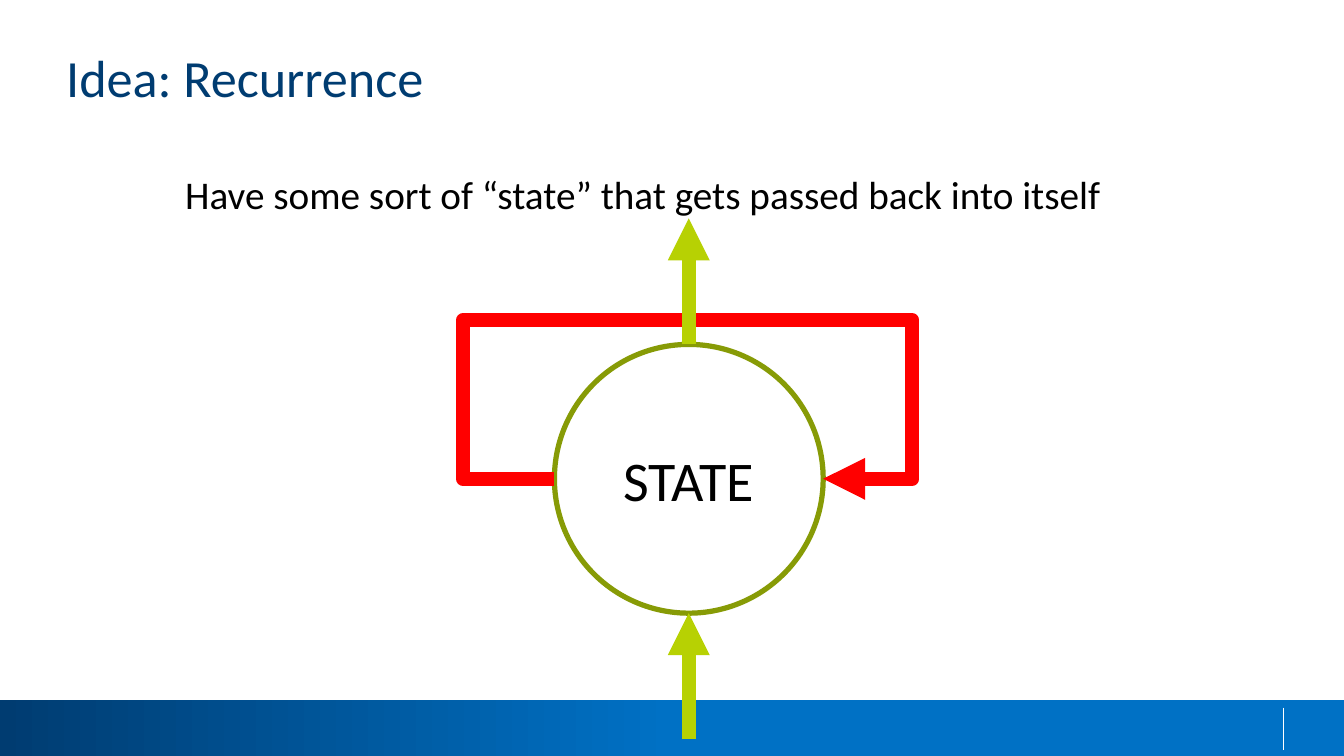
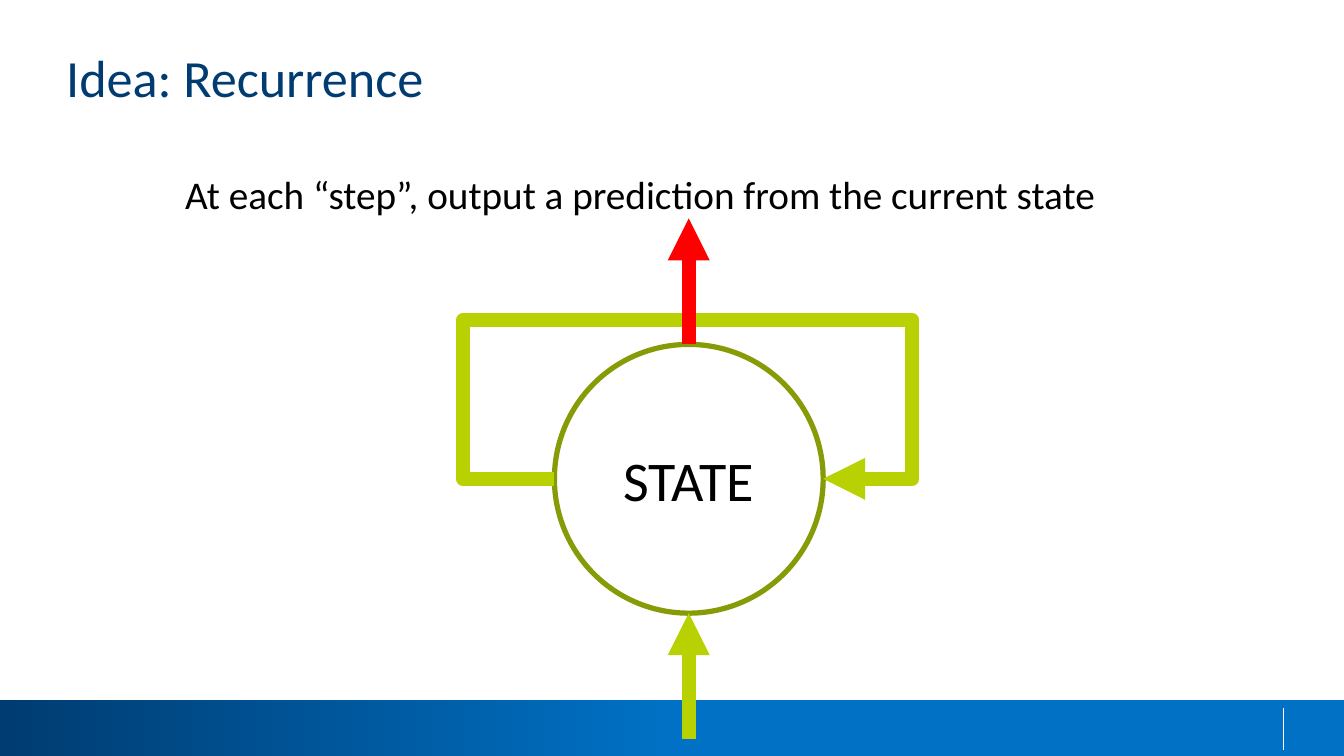
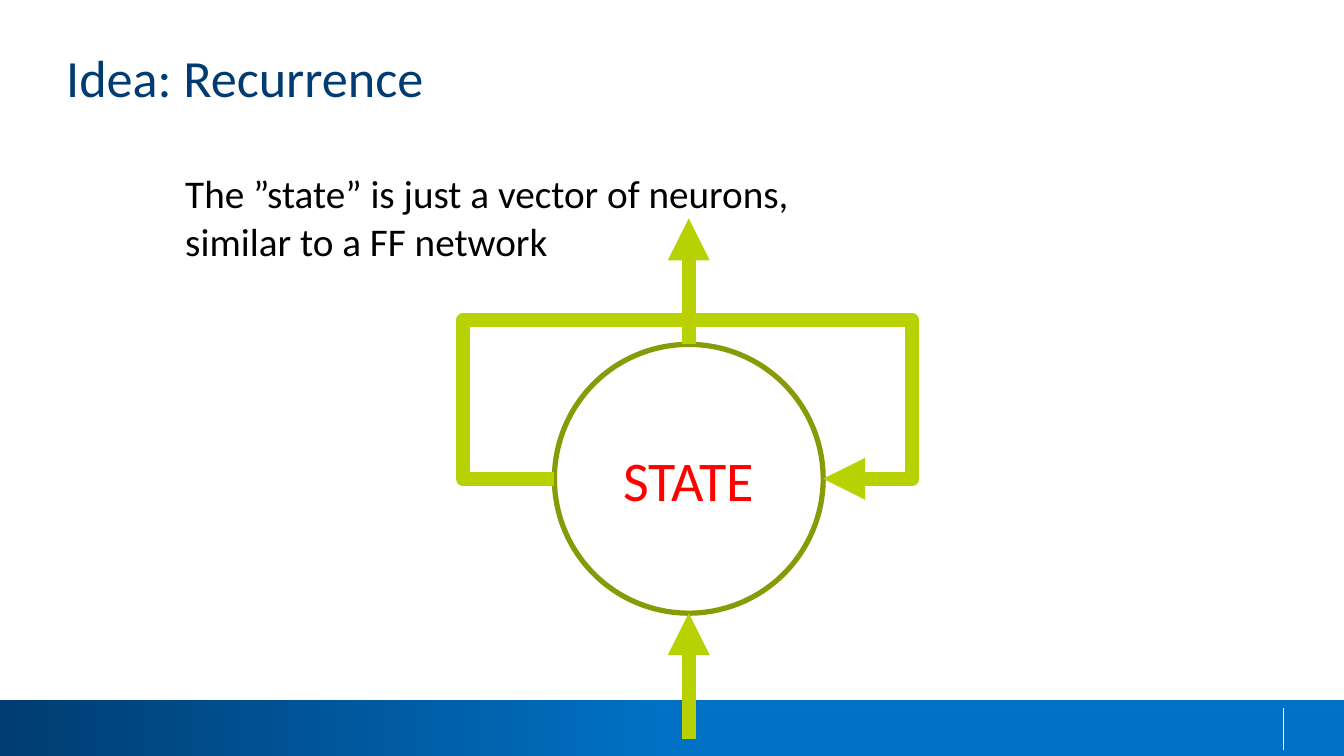
"""Builds three slides that explain recurrence with a looping state diagram."""
from pptx import Presentation
from pptx.dml.color import RGBColor
from pptx.enum.shapes import MSO_CONNECTOR, MSO_SHAPE
from pptx.enum.text import MSO_ANCHOR, MSO_AUTO_SIZE, PP_ALIGN
from pptx.oxml.ns import qn
from pptx.util import Pt
from lxml.etree import SubElement

PX = 9525
WIDTH, HEIGHT = 1280, 720
FONT = "Calibri"

NAVY = RGBColor(0x00, 0x3C, 0x71)
BLUE = RGBColor(0x00, 0x71, 0xC5)
OLIVE = RGBColor(0x87, 0x9B, 0x06)
LIME = RGBColor(0xB7, 0xD1, 0x03)
RED = RGBColor(0xFF, 0x00, 0x00)
BLACK = RGBColor(0x00, 0x00, 0x00)
WHITE = RGBColor(0xFF, 0xFF, 0xFF)

CX, CY, RADIUS = 656, 456, 128
ARROW_LENGTH = 120
ARROW_WIDTH = 10
LOOP_LEFT, LOOP_TOP, LOOP_RIGHT = 441, 305, 869


class Deck:
    """Holds the style and the current slide."""

    def __init__(self):
        self.prs = Presentation()
        self.prs.slide_width = WIDTH * PX
        self.prs.slide_height = HEIGHT * PX
        self.s = None

    def slide(self, title):
        """Starts a slide with its title and footer band."""
        self.s = self.prs.slides.add_slide(self.prs.slide_layouts[5])
        sp = self.s.shapes.title
        self.place(sp, 63, 43, 1152, 122)
        tf = sp.text_frame
        tf.margin_left = tf.margin_top = tf.margin_right = tf.margin_bottom = 0
        tf.vertical_anchor = MSO_ANCHOR.TOP
        tf.auto_size = MSO_AUTO_SIZE.NONE
        self.set_text(tf, [title], 37.3, NAVY)
        self.band()

    def place(self, sp, x, y, w, h):
        """Moves and sizes a shape."""
        sp.left, sp.top, sp.width, sp.height = (v * PX for v in (x, y, w, h))

    def set_text(self, tf, lines, size, color, align=PP_ALIGN.LEFT):
        """Fills a text frame with one paragraph per line."""
        tf.text = "\n".join(lines)
        for p in tf.paragraphs:
            p.alignment = align
            p.font.name = FONT
            p.font.size = Pt(size)
            p.font.color.rgb = color

    def band(self):
        """Draws the footer band and its divider."""
        sp = self.s.shapes.add_shape(
            MSO_SHAPE.RECTANGLE, 0, 667 * PX, WIDTH * PX, 53 * PX)
        sp.shadow.inherit = False
        sp.line.fill.background()
        sp.fill.gradient()
        sp.fill.gradient_angle = 0
        stops = ((0, NAVY), (0.5, BLUE))
        for stop, (position, color) in zip(sp.fill.gradient_stops, stops):
            stop.position = position
            stop.color.rgb = color
        self.line((1222, 674), (1222, 714), WHITE, 0.75)

    def line(self, start, end, color, width):
        """Draws a straight line without a shadow."""
        points = (v * PX for v in start + end)
        cxn = self.s.shapes.add_connector(MSO_CONNECTOR.STRAIGHT, *points)
        cxn.line.color.rgb = color
        cxn.line.width = Pt(width)
        SubElement(cxn._element.spPr, qn("a:effectLst"))
        return cxn

    def add_head(self, sp):
        """Gives a line round joins and an arrowhead at its end."""
        ln = sp.line._get_or_add_ln()
        SubElement(ln, qn("a:round"))
        SubElement(ln, qn("a:tailEnd"), type="triangle")

    def up_arrow(self, bottom, color):
        """Draws an upward arrow on the axis of the state."""
        start, end = (CX, bottom), (CX, bottom - ARROW_LENGTH)
        self.add_head(self.line(start, end, color, ARROW_WIDTH))

    def loop(self, color):
        """Draws the arrow that leads from the state back into it."""
        fb = self.s.shapes.build_freeform(CX - RADIUS, CY, scale=PX)
        corners = [(LOOP_LEFT, CY), (LOOP_LEFT, LOOP_TOP),
                   (LOOP_RIGHT, LOOP_TOP), (LOOP_RIGHT, CY)]
        fb.add_line_segments(corners + [(CX + RADIUS, CY)], close=False)
        sp = fb.convert_to_shape()
        sp.shadow.inherit = False
        sp.fill.background()
        sp.line.color.rgb = color
        sp.line.width = Pt(ARROW_WIDTH)
        self.add_head(sp)

    def state(self, color):
        """Draws the circle of the state."""
        sp = self.s.shapes.add_shape(MSO_SHAPE.OVAL, 0, 0, 0, 0)
        self.place(sp, CX - RADIUS, CY - RADIUS, 2 * RADIUS, 2 * RADIUS)
        sp.shadow.inherit = False
        sp.fill.background()
        sp.line.color.rgb = OLIVE
        sp.line.width = Pt(3.75)
        sp.text_frame.vertical_anchor = MSO_ANCHOR.MIDDLE
        self.set_text(sp.text_frame, ["STATE"], 40, color, PP_ALIGN.CENTER)

    def caption(self, lines):
        """Sets the sentence above the diagram."""
        sp = self.s.shapes.add_textbox(0, 0, 0, 0)
        self.place(sp, 167, 157, 1022, 10 + 45 * len(lines))
        sp.text_frame.word_wrap = True
        self.set_text(sp.text_frame, lines, 28, BLACK)


def main():
    """Builds and saves the slides."""
    steps = [
        (["Have some sort of “state” that gets passed back into itself"],
         BLACK, RED, LIME),
        (["At each “step”, output a prediction from the current state"],
         BLACK, LIME, RED),
        (["The ”state” is just a vector of neurons,",
          "similar to a FF network"], RED, LIME, LIME),
    ]
    deck = Deck()
    for lines, state_color, loop_color, output_color in steps:
        deck.slide("Idea: Recurrence")
        deck.state(state_color)
        deck.loop(loop_color)
        deck.up_arrow(CY + RADIUS + ARROW_LENGTH, LIME)
        deck.up_arrow(CY - RADIUS, output_color)
        deck.caption(lines)
    deck.prs.save("out.pptx")


if __name__ == "__main__":
    main()
